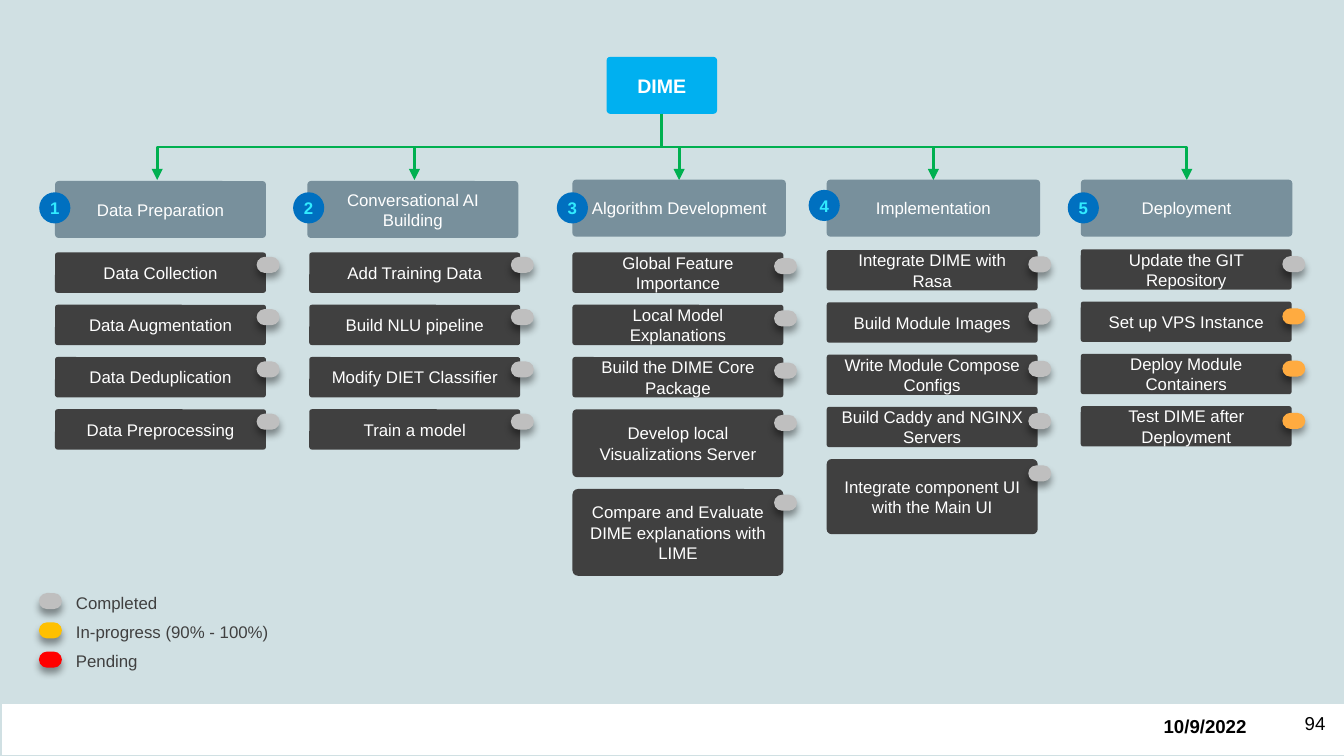
from lxml.etree import SubElement
from pptx import Presentation
from pptx.dml.color import RGBColor
from pptx.enum.shapes import MSO_CONNECTOR, MSO_SHAPE
from pptx.enum.text import MSO_ANCHOR, PP_ALIGN
from pptx.oxml.ns import qn
from pptx.util import Pt

BACKGROUND = RGBColor(0xD0, 0xE0, 0xE3)
WHITE = RGBColor(0xFF, 0xFF, 0xFF)
BLACK = RGBColor(0x00, 0x00, 0x00)
ROOT_BLUE = RGBColor(0x00, 0xB0, 0xF0)
HEADER = RGBColor(0x78, 0x90, 0x9C)
TASK = RGBColor(0x40, 0x40, 0x40)
BADGE = RGBColor(0x00, 0x70, 0xC0)
BADGE_TEXT = RGBColor(0x31, 0xEB, 0xFF)
ARROW = RGBColor(0x00, 0xB0, 0x50)
DONE = RGBColor(0xBF, 0xBF, 0xBF)
ACTIVE = RGBColor(0xFF, 0xAB, 0x40)
LEGEND_ACTIVE = RGBColor(0xFF, 0xC0, 0x00)
PENDING = RGBColor(0xFF, 0x00, 0x00)

ROUNDED = MSO_SHAPE.ROUNDED_RECTANGLE
CORNER = 0.064
TASK_WIDTH, TASK_HEIGHT, TASK_GAP = 113, 21.6, 6.4
MARKER_WIDTH, MARKER_HEIGHT = 12.3, 8.6
BADGE_SIZE = 16.7


def add_box(shapes, kind, left, top, width, height, fill, corner=None, shadow=False):
    shape = shapes.add_shape(kind, Pt(left), Pt(top), Pt(width), Pt(height))
    shape.fill.solid()
    shape.fill.fore_color.rgb = fill
    shape.line.fill.background()
    shape.shadow.inherit = False
    if corner is not None:
        shape.adjustments[0] = corner
    if shadow:
        effects = shape._element.spPr.find(qn("a:effectLst"))
        outer = SubElement(effects, qn("a:outerShdw"), blurRad=str(Pt(4)),
                           dist=str(Pt(3)), dir="5400000", rotWithShape="0")
        color = SubElement(outer, qn("a:srgbClr"), val=str(BLACK))
        SubElement(color, qn("a:alpha"), val="40000")
    return shape


def write(shape, text, size=9, color=WHITE, bold=False,
          align=PP_ALIGN.CENTER, anchor=MSO_ANCHOR.MIDDLE):
    frame = shape.text_frame
    frame.text = text
    frame.word_wrap = True
    frame.vertical_anchor = anchor
    paragraph = frame.paragraphs[0]
    paragraph.alignment = align
    font = paragraph.runs[0].font
    font.name, font.size, font.bold = "Arial", Pt(size), bold
    font.color.rgb = color


presentation = Presentation()
presentation.slide_width = Pt(720)
presentation.slide_height = Pt(405)
slide = presentation.slides.add_slide(presentation.slide_layouts[6])
slide.background.fill.solid()
slide.background.fill.fore_color.rgb = BACKGROUND
shapes = slide.shapes

# Footer band with date and slide number
add_box(shapes, MSO_SHAPE.RECTANGLE, 1.2, 377.3, 718.8, 27.2, WHITE)
date = shapes.add_textbox(Pt(616.3), Pt(379.4), Pt(60), Pt(19.4))
write(date, "10/9/2022", 10, BLACK, True, PP_ALIGN.LEFT, MSO_ANCHOR.TOP)
number = shapes.add_textbox(Pt(673.9), Pt(369.7), Pt(43.2), Pt(35))
write(number, "94", 10, BLACK, align=PP_ALIGN.RIGHT)

# Root of the tree
ROOT_X, ROOT_BOTTOM, ARROW_END = 354.6, 61, 96.5
root = add_box(shapes, ROUNDED, 325, 30.5, 59.2, 30.5, ROOT_BLUE, CORNER)
write(root, "DIME", 10.5, bold=True)

# Phases: title, header (left, top, width), arrow x, badge (left, top),
# tasks (left, top), marker drop, then tasks as (text, height, status)
phases = [
    ("Data Preparation", (29.5, 97, 113), 84.2, (21, 103), (29.5, 135.3), 2.3, [
        ("Data Collection", TASK_HEIGHT, DONE),
        ("Data Augmentation", TASK_HEIGHT, DONE),
        ("Data Deduplication", TASK_HEIGHT, DONE),
        ("Data Preprocessing", TASK_HEIGHT, DONE)]),
    ("Conversational AI Building", (164.7, 97, 113), 222, (157, 103), (165.7, 135.3), 2.3, [
        ("Add Training Data", TASK_HEIGHT, DONE),
        ("Build NLU pipeline", TASK_HEIGHT, DONE),
        ("Modify DIET Classifier", TASK_HEIGHT, DONE),
        ("Train a model", TASK_HEIGHT, DONE)]),
    ("Algorithm Development", (306.7, 96.3, 114.3), 363.8, (298.3, 103), (306.7, 135.3), 3, [
        ("Global Feature Importance", TASK_HEIGHT, DONE),
        ("Local Model Explanations", TASK_HEIGHT, DONE),
        ("Build the DIME Core Package", TASK_HEIGHT, DONE),
        ("Develop local Visualizations Server", 36.3, DONE),
        ("Compare and Evaluate DIME explanations with LIME", 46.5, DONE)]),
    ("Implementation", (442.9, 96.3, 114.3), 500, (433.2, 101.7), (442.9, 134), 3.3, [
        ("Integrate DIME with Rasa", TASK_HEIGHT, DONE),
        ("Build Module Images", TASK_HEIGHT, DONE),
        ("Write Module Compose Configs", TASK_HEIGHT, DONE),
        ("Build Caddy and NGINX Servers", TASK_HEIGHT, DONE),
        ("Integrate component UI with the Main UI", 40.2, DONE)]),
    ("Deployment", (579, 96.3, 113.3), 635.8, (572, 103), (579, 133.6), 3.6, [
        ("Update the GIT Repository", TASK_HEIGHT, DONE),
        ("Set up VPS Instance", TASK_HEIGHT, ACTIVE),
        ("Deploy Module Containers", TASK_HEIGHT, ACTIVE),
        ("Test DIME after Deployment", TASK_HEIGHT, ACTIVE)]),
]

for index, (title, header_at, arrow_x, badge_at, tasks_at, drop, tasks) in enumerate(phases, 1):
    # Elbow arrow: laid out sideways, then turned to run downwards
    center_x, center_y = (ROOT_X + arrow_x) / 2, (ROOT_BOTTOM + ARROW_END) / 2
    half_run = (ARROW_END - ROOT_BOTTOM) / 2
    half_spread = abs(arrow_x - ROOT_X) / 2
    side = 1 if arrow_x > ROOT_X else -1
    arrow = shapes.add_connector(
        MSO_CONNECTOR.ELBOW,
        Pt(center_x + side * half_run), Pt(center_y - half_spread),
        Pt(center_x - side * half_run), Pt(center_y + half_spread))
    arrow.line.color.rgb = ARROW
    arrow.line.width = Pt(1.5)
    properties = arrow._element.spPr
    properties.find(qn("a:xfrm")).set("rot", "16200000" if side > 0 else "5400000")
    SubElement(properties.find(qn("a:ln")), qn("a:tailEnd"), type="triangle")
    SubElement(properties, qn("a:effectLst"))

    # Header and numbered badge
    left, top, width = header_at
    header = add_box(shapes, ROUNDED, left, top, width, 30.5, HEADER, CORNER)
    write(header, title)
    badge = add_box(shapes, MSO_SHAPE.OVAL, *badge_at, BADGE_SIZE, BADGE_SIZE, BADGE)
    frame = badge.text_frame
    frame.margin_left = frame.margin_right = frame.margin_top = frame.margin_bottom = 0
    write(badge, str(index), color=BADGE_TEXT, bold=True)

    # Tasks with status markers
    left, top = tasks_at
    for text, height, status in tasks:
        task = add_box(shapes, ROUNDED, left, top, TASK_WIDTH, height, TASK, CORNER)
        write(task, text)
        add_box(shapes, ROUNDED, left + 108, top + drop, MARKER_WIDTH, MARKER_HEIGHT,
                status, 0.5, shadow=True)
        top += height + TASK_GAP

# Legend
legend = shapes.add_group_shape().shapes
statuses = [("Completed", DONE), ("In-progress (90% - 100%)", LEGEND_ACTIVE),
            ("Pending", PENDING)]
for row, (text, color) in enumerate(statuses):
    top = 317.7 + row * 15.7
    add_box(legend, ROUNDED, 20.9, top, MARKER_WIDTH, MARKER_HEIGHT, color, 0.5, shadow=True)
    label = legend.add_textbox(Pt(33.6), Pt(top - 4), Pt(195), Pt(18))
    write(label, text, color=TASK, align=PP_ALIGN.LEFT, anchor=MSO_ANCHOR.TOP)

presentation.save("out.pptx")
